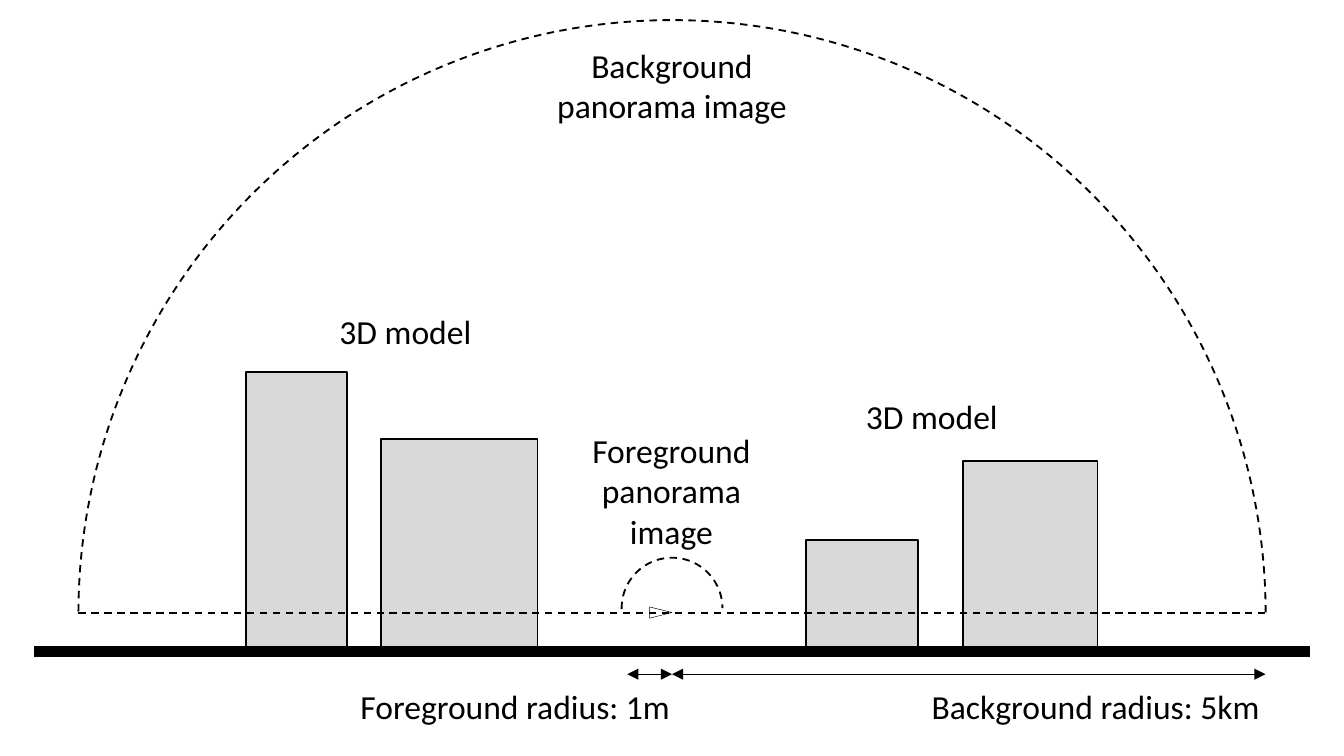
from lxml.etree import SubElement
from pptx import Presentation
from pptx.dml.color import RGBColor
from pptx.enum.dml import MSO_LINE
from pptx.enum.shapes import MSO_CONNECTOR, MSO_SHAPE as Shape
from pptx.enum.text import MSO_AUTO_SIZE as AutoSize, PP_ALIGN as Align
from pptx.oxml.ns import qn
from pptx.util import Emu, Pt

SCALE = 7620
BLACK, GREY, WHITE = "000000", "D9D9D9", "FFFFFF"
CENTER, RADIUS = 600, 530
GROUND, HORIZON, MEASURE = 582, 547, 602
LABEL_FONT = {"name": "Calibri", "size": Pt(18)}


def px(value):
    return Emu(value * SCALE)


def color(value):
    return RGBColor.from_string(value)


class Diagram:
    def __init__(self, slide):
        self.slide = slide

    def style_line(self, line, width, dashed=False):
        line.color.rgb = color(BLACK)
        line.width = Pt(width)
        if dashed:
            line.dash_style = MSO_LINE.DASH

    def shape(self, kind, box, fill=None, width=1, dashed=False):
        shape = self.slide.shapes.add_shape(kind, *map(px, box))
        shape.shadow.inherit = False
        if fill:
            shape.fill.solid()
            shape.fill.fore_color.rgb = color(fill)
        else:
            shape.fill.background()
        self.style_line(shape.line, width, dashed)
        return shape

    def dome(self, radius, top, start):
        box = (CENTER - radius, top, 2 * radius, 2 * radius)
        arc = self.shape(Shape.ARC, box, dashed=True)
        arc.adjustments[0] = start
        arc.adjustments[1] = 0

    def building(self, left, width, height):
        self.shape(Shape.RECTANGLE, (left, GROUND - height, width, height), GREY)

    def level(self, left, right, y, width, dashed=False, arrows=False):
        connector = self.slide.shapes.add_connector(
            MSO_CONNECTOR.STRAIGHT, px(left), px(y), px(right), px(y))
        self.style_line(connector.line, width, dashed)
        properties = connector._element.spPr
        if arrows:
            for end in ("a:headEnd", "a:tailEnd"):
                SubElement(properties.find(qn("a:ln")), qn(end), type="triangle")
        SubElement(properties, qn("a:effectLst"))

    def label(self, box, lines, align=Align.CENTER):
        frame = self.slide.shapes.add_textbox(*map(px, box)).text_frame
        frame.word_wrap = False
        frame.auto_size = AutoSize.SHAPE_TO_FIT_TEXT
        frame.text = "\n".join(lines)
        for paragraph in frame.paragraphs:
            paragraph.alignment = align
            for name, value in LABEL_FONT.items():
                setattr(paragraph.font, name, value)
            paragraph.font.color.rgb = color(BLACK)


def main():
    presentation = Presentation()
    presentation.slide_width = px(1200)
    presentation.slide_height = px(675)
    diagram = Diagram(presentation.slides.add_slide(presentation.slide_layouts[6]))

    diagram.dome(RADIUS, 18, 108.14)
    diagram.dome(45, 498, 107.31)

    for building in ((720, 100, 100), (340, 140, 190), (220, 90, 250), (860, 120, 170)):
        diagram.building(*building)

    diagram.level(30, 1170, GROUND, 6)
    diagram.level(560, CENTER, MEASURE, 0.75, arrows=True)
    diagram.level(CENTER, CENTER + RADIUS, MEASURE, 0.75, arrows=True)

    diagram.label((310, 607, 304, 48), ["Foreground radius: 1m"], Align.LEFT)
    diagram.label((820, 607, 320, 48), ["Background radius: 5km"], Align.LEFT)
    diagram.label((516, 378, 167, 121), ["Foreground", "panorama", "image"])
    diagram.label((484, 34, 232, 85), ["Background", "panorama image"])
    for left, top in ((760, 348), (290, 272)):
        diagram.label((left, top, 144, 48), ["3D model"])

    viewpoint = diagram.shape(Shape.ISOSCELES_TRIANGLE, (585, 537, 10, 20), WHITE, 0.25)
    viewpoint.rotation = 90
    diagram.level(CENTER - RADIUS, CENTER + RADIUS, HORIZON, 1, dashed=True)

    presentation.save("out.pptx")


if __name__ == "__main__":
    main()
